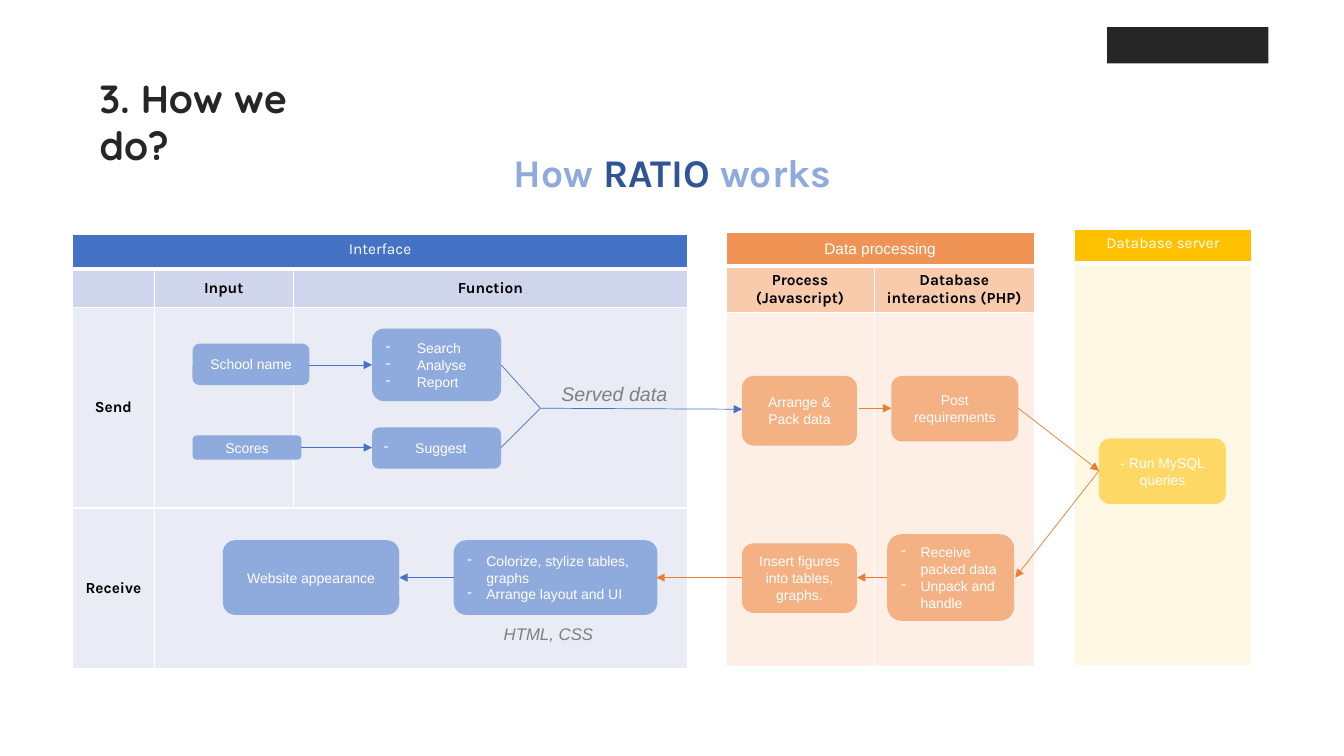
import typing
import pptx
import pptx.util
import pptx.oxml
import pptx.oxml.ns
import pptx.dml.color
import pptx.enum.shapes
import pptx.enum.text

Inches = pptx.util.Inches
Align = pptx.enum.text.PP_ALIGN
Anchor = pptx.enum.text.MSO_ANCHOR
Shape = pptx.enum.shapes.MSO_SHAPE

HUES = {
    "white": "FFFFFF", "black": "000000", "dark": "262626", "gray": "808080",
    "blue": "4472C4", "sky": "8FAADC", "navy": "2F5597", "haze": "CFD5EA", "mist": "E9EBF5",
    "rust": "ED7D31", "clay": "F09456", "peach": "F4B183", "blush": "F8CBAD", "cream": "FDEFE6",
    "gold": "FFC000", "corn": "FFD966", "pale": "FFF8E5",
}


class Grid(typing.NamedTuple):
    left: float
    top: float
    cols: list[float]
    rows: list[float]
    fills: list[str]
    words: dict[tuple[int, int], str]
    spans: list[tuple[int, int, int]]
    font: str = "Karla"
    head: typing.Any = Anchor.TOP
    merge: int = -1


class Box(typing.NamedTuple):
    left: float
    top: float
    width: float
    height: float
    hue: str
    words: str
    dent: float = 0


class Line(typing.NamedTuple):
    start: tuple[float, float]
    end: tuple[float, float]
    hue: str
    arrow: bool = True


class Note(typing.NamedTuple):
    left: float
    top: float
    width: float
    height: float
    words: str
    style: dict[str, typing.Any]


GRIDS = [
    Grid(0.72, 2.33, [0.81, 1.38, 3.91], [0.34, 0.38, 1.99, 1.59],
         ["blue", "haze", "mist", "mist"],
         {(0, 0): "Interface", (1, 1): "Input", (1, 2): "Function",
          (2, 0): "Send", (3, 0): "Receive"},
         [(0, 0, 2), (3, 1, 2)]),
    Grid(7.2, 2.31, [1.47, 1.59], [0.33, 0.41, 1.89, 1.63],
         ["clay", "blush", "cream", "cream"],
         {(0, 0): "Data processing", (1, 0): "Process (Javascript)",
          (1, 1): "Database interactions (PHP)"},
         [(0, 0, 1)], "Arial", Anchor.MIDDLE, 2),
    Grid(10.66, 2.28, [1.75], [0.33, 3.99], ["gold", "pale"],
         {(0, 0): "Database server"}, []),
]

BOXES = [
    Box(1.91, 3.41, 1.16, 0.41, "sky", "School name"),
    Box(1.91, 4.32, 1.08, 0.24, "sky", "Scores"),
    Box(3.69, 3.26, 1.28, 0.72, "sky", "Search\nAnalyse\nReport", 0.31),
    Box(3.69, 4.24, 1.28, 0.41, "sky", "Suggest", 0.31),
    Box(7.36, 3.73, 1.14, 0.69, "peach", "Arrange & Pack data"),
    Box(8.84, 3.73, 1.26, 0.65, "peach", "Post requirements"),
    Box(10.9, 4.35, 1.26, 0.65, "corn", "- Run MySQL queries"),
    Box(8.8, 5.3, 1.26, 0.86, "peach", "Receive packed data\nUnpack and handle", 0.19),
    Box(7.36, 5.39, 1.14, 0.69, "peach", "Insert figures into tables, graphs."),
    Box(4.5, 5.36, 2.02, 0.74, "sky",
        "Colorize, stylize tables, graphs\nArrange layout and UI", 0.19),
    Box(2.21, 5.36, 1.75, 0.74, "sky", "Website appearance"),
]

LINES = [
    Line((3.06, 3.62), (3.69, 3.62), "blue"),
    Line((2.99, 4.44), (3.69, 4.44), "blue"),
    Line((8.52, 4.05), (8.84, 4.05), "rust"),
    Line((10.1, 4.05), (10.9, 4.67), "rust"),
    Line((10.9, 4.67), (10.07, 5.73), "rust"),
    Line((8.8, 5.73), (8.5, 5.73), "rust"),
    Line((7.36, 5.73), (6.51, 5.73), "rust"),
    Line((5.36, 4.05), (7.36, 4.06), "blue"),
    Line((4.97, 4.44), (5.36, 4.05), "blue", False),
    Line((4.97, 3.62), (5.36, 4.05), "blue", False),
    Line((4.5, 5.73), (3.96, 5.73), "blue"),
]

NOTES = [
    Note(4.75, 6.14, 1.38, 0.3, "HTML, CSS", dict(size=12, hues=["gray"], slant=True)),
    Note(5.47, 3.74, 1.36, 0.34, "Served data",
         dict(size=14, hues=["gray"], slant=True, align=Align.LEFT)),
    Note(4.5, 1.42, 4.34, 0.57, "How| RATIO |works",
         dict(size=28, hues=["sky", "navy", "sky"], font="Karla", bold=True)),
    Note(0.89, 0.69, 2.69, 0.57, "3. How we do?",
         dict(size=28, hues=["dark"], font="Quicksand", bold=True, align=Align.LEFT)),
]


def shade(name: str) -> pptx.dml.color.RGBColor:
    return pptx.dml.color.RGBColor.from_string(HUES[name])


def node(host, tag: str, **traits: str):
    child = pptx.oxml.parse_xml(f"<{tag} {pptx.oxml.ns.nsdecls('a')}/>")
    for key, value in traits.items():
        child.set(key, value)
    host.append(child)
    return child


def write(frame, words: str, *, size: float = 10, hues: typing.Sequence[str] = ("white",),
          font: str = "Arial", bold: bool = False, slant: bool = False,
          align=Align.CENTER, dent: float = 0) -> None:
    frame.word_wrap = True
    for index, line in enumerate(words.split("\n")):
        para = frame.add_paragraph() if index else frame.paragraphs[0]
        para.alignment = Align.LEFT if dent else align
        if dent:
            props = para._p.get_or_add_pPr()
            props.set("marL", str(Inches(dent)))
            props.set("indent", str(-Inches(dent)))
            node(props, "a:buChar", char="-")
        for part, hue in zip(line.split("|"), hues):
            run = para.add_run()
            run.text = part
            run.font.size = pptx.util.Pt(size)
            run.font.name = font
            run.font.bold = bold
            run.font.italic = slant
            run.font.color.rgb = shade(hue)


def edge(cell, side: str, width: float) -> None:
    line = node(cell._tc.get_or_add_tcPr(), f"a:ln{side}", w=str(pptx.util.Pt(width)))
    if width:
        node(node(line, "a:solidFill"), "a:srgbClr", val=HUES["white"])
    else:
        node(line, "a:noFill")


def draw_grid(slide, grid: Grid) -> None:
    table = slide.shapes.add_table(
        len(grid.rows), len(grid.cols), Inches(grid.left), Inches(grid.top),
        Inches(sum(grid.cols)), Inches(sum(grid.rows))).table
    table.first_row = table.horz_banding = False
    for col, width in zip(table.columns, grid.cols):
        col.width = Inches(width)
    for row, height in zip(table.rows, grid.rows):
        row.height = Inches(height)
    for row, first, last in grid.spans:
        table.cell(row, first).merge(table.cell(row, last))
    for row, fill in enumerate(grid.fills):
        for col in range(len(grid.cols)):
            cell = table.cell(row, col)
            above = 0 if row - 1 == grid.merge else 1
            below = 3 if row == 0 else 0 if row == grid.merge else 1
            for side, width in zip("LRTB", (1, 1, above, below)):
                edge(cell, side, width)
            cell.fill.solid()
            cell.fill.fore_color.rgb = shade(fill)
            cell.vertical_anchor = Anchor.MIDDLE if row else grid.head
            if (row, col) in grid.words:
                write(cell.text_frame, grid.words[row, col], size=11, bold=row > 0,
                      hues=["black" if row else "white"], font="Karla" if row else grid.font)
            else:
                cell.text_frame.paragraphs[0]._p.get_or_add_endParaRPr().set("sz", "1100")


def draw_box(slide, box: Box, kind=Shape.ROUNDED_RECTANGLE) -> None:
    shape = slide.shapes.add_shape(kind, *map(Inches, box[:4]))
    shape.shadow.inherit = False
    shape.fill.solid()
    shape.fill.fore_color.rgb = shade(box.hue)
    shape.line.fill.background()
    if box.words:
        shape.text_frame.vertical_anchor = Anchor.MIDDLE
        write(shape.text_frame, box.words, dent=box.dent)


def draw_line(slide, line: Line) -> None:
    link = slide.shapes.add_connector(
        pptx.enum.shapes.MSO_CONNECTOR.STRAIGHT, *map(Inches, line.start + line.end))
    link.line.color.rgb = shade(line.hue)
    link.line.width = pptx.util.Pt(0.5)
    if line.arrow:
        node(link.line._get_or_add_ln(), "a:tailEnd", type="triangle")
    node(link._element.spPr, "a:effectLst")


def main() -> None:
    deck = pptx.Presentation()
    deck.slide_width, deck.slide_height = Inches(13.33), Inches(7.5)
    slide = deck.slides.add_slide(deck.slide_layouts[6])
    for grid in GRIDS:
        draw_grid(slide, grid)
    for box in BOXES:
        draw_box(slide, box)
    for line in LINES:
        draw_line(slide, line)
    for note in NOTES:
        frame = slide.shapes.add_textbox(*map(Inches, note[:4])).text_frame
        write(frame, note.words, **note.style)
    draw_box(slide, Box(10.98, 0.27, 1.6, 0.36, "dark", ""), Shape.RECTANGLE)
    deck.save("out.pptx")


if __name__ == "__main__":
    main()
